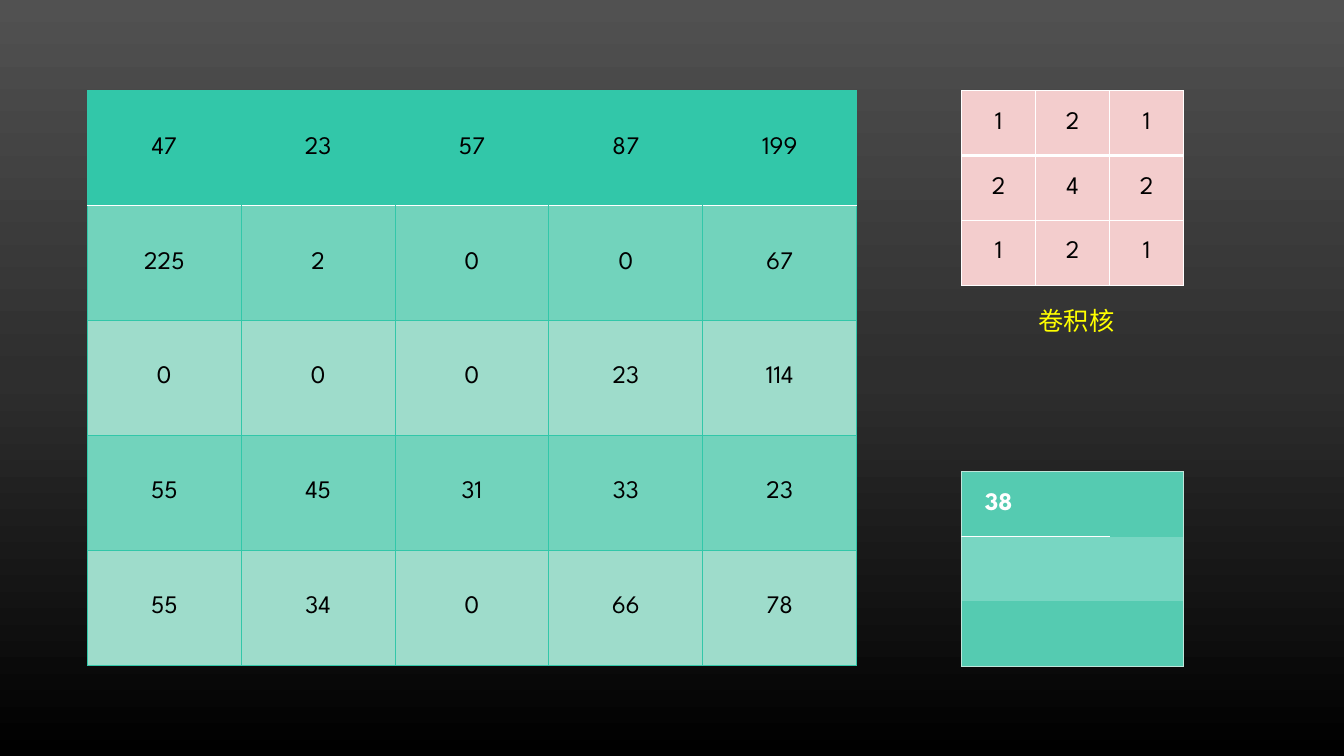
"""Build a slide showing a pixel matrix, a convolution kernel and its result."""
from copy import deepcopy
from dataclasses import dataclass
from typing import Optional

from lxml.etree import SubElement
from pptx import Presentation
from pptx.dml.color import RGBColor
from pptx.enum.text import MSO_ANCHOR, PP_ALIGN
from pptx.oxml.ns import qn
from pptx.util import Emu, Inches, Pt

FONT = "League Spartan"
COLUMNS, ROWS = 100, 75
COLORS = {
    "bg_top": "515151", "bg_middle": "2E2E2E", "bg_bottom": "000000",
    "teal": "32C7A9", "teal_mid": "72D3BC", "teal_light": "9EDCCB",
    "result_dark": "55CBB1", "result_light": "78D6C2", "result_edge": "BFE5DA",
    "pink": "F3CDCD", "white": "FFFFFF", "black": "000000", "yellow": "FFFF00",
}


@dataclass
class Line:
    color: str
    width: float


@dataclass
class Matrix:
    left: float
    top: float
    width: float
    height: float
    values: list[list[str]]
    row_fills: list[str]
    outer: Line
    inner: Optional[Line]
    header_inner: Optional[Line]
    header_rule: Line
    rule_columns: int
    text_color: str = "black"
    bold: bool = False


WHITE_LINE = Line("white", 1)
TEAL_LINE = Line("teal", 0.75)
SIDE_LEFT, SIDE_WIDTH, SIDE_HEIGHT = 71.55, 16.52, 19.3

MATRICES = [
    Matrix(6.5, 9, 57.25, 57,
           [["47", "23", "57", "87", "199"],
            ["225", "2", "0", "0", "67"],
            ["0", "0", "0", "23", "114"],
            ["55", "45", "31", "33", "23"],
            ["55", "34", "0", "66", "78"]],
           ["teal", "teal_mid", "teal_light", "teal_mid", "teal_light"],
           TEAL_LINE, TEAL_LINE, None, WHITE_LINE, 5),
    Matrix(SIDE_LEFT, 46.8, SIDE_WIDTH, SIDE_HEIGHT,
           [["38", "", ""], ["", "", ""], ["", "", ""]],
           ["result_dark", "result_light", "result_dark"],
           Line("result_edge", 0.75), None, None, Line("white", 1.5), 2,
           "white", True),
    Matrix(SIDE_LEFT, 9, SIDE_WIDTH, SIDE_HEIGHT,
           [["1", "2", "1"], ["2", "4", "2"], ["1", "2", "1"]],
           ["pink"] * 3,
           WHITE_LINE, WHITE_LINE, WHITE_LINE, Line("white", 3), 3),
]


def rgb(name: str) -> RGBColor:
    return RGBColor.from_string(COLORS[name])


def format_text(p, color: str, bold: bool = False) -> None:
    p.alignment = PP_ALIGN.CENTER
    p.font.name = FONT
    p.font.size = Pt(18)
    p.font.bold = bold
    p.font.color.rgb = rgb(color)


def cell_lines(m: Matrix, row: int, col: int) -> dict[str, Optional[Line]]:
    def horizontal(edge: int) -> Optional[Line]:
        if edge in (0, len(m.values)):
            return m.outer
        if edge == 1:
            return m.header_rule if col < m.rule_columns else None
        return m.inner

    def vertical(edge: int) -> Optional[Line]:
        if edge in (0, len(m.values[0])):
            return m.outer
        return m.inner if row else m.header_inner

    return {"a:lnL": vertical(col), "a:lnR": vertical(col + 1),
            "a:lnT": horizontal(row), "a:lnB": horizontal(row + 1)}


def set_borders(cell, lines: dict[str, Optional[Line]]) -> None:
    tc_pr = cell._tc.get_or_add_tcPr()
    for tag, line in lines.items():
        ln = SubElement(tc_pr, qn(tag), w=str(Pt(line.width) if line else 0))
        if line:
            fill = SubElement(ln, qn("a:solidFill"))
            SubElement(fill, qn("a:srgbClr"), val=COLORS[line.color])
        else:
            SubElement(ln, qn("a:noFill"))


def add_matrix(slide, m: Matrix, unit_x: float, unit_y: float) -> None:
    n_rows, n_cols = len(m.values), len(m.values[0])
    table = slide.shapes.add_table(
        n_rows, n_cols, Emu(int(m.left * unit_x)), Emu(int(m.top * unit_y)),
        Emu(int(m.width * unit_x)), Emu(int(m.height * unit_y))).table
    table.first_row = table.horz_banding = False
    for row, values in enumerate(m.values):
        for col, value in enumerate(values):
            cell = table.cell(row, col)
            set_borders(cell, cell_lines(m, row, col))
            cell.fill.solid()
            cell.fill.fore_color.rgb = rgb(m.row_fills[row])
            cell.vertical_anchor = MSO_ANCHOR.MIDDLE
            if value:
                p = cell.text_frame.paragraphs[0]
                p.text = value
                format_text(p, m.text_color, m.bold)


def set_background(slide) -> None:
    fill = slide.background.fill
    fill.gradient()
    fill.gradient_angle = 270
    first = fill.gradient_stops[0]._gs
    first.addnext(deepcopy(first))
    names = ("bg_top", "bg_middle", "bg_bottom")
    for stop, name, position in zip(fill.gradient_stops, names, (0, 0.5, 1)):
        stop.color.rgb = rgb(name)
        stop.position = position


def add_caption(slide, text: str, unit_x: float, unit_y: float) -> None:
    sp = slide.shapes.add_textbox(
        Emu(int(76.5 * unit_x)), Emu(int(29.8 * unit_y)),
        Emu(int(7.2 * unit_x)), Emu(int(4 * unit_y)))
    tf = sp.text_frame
    tf.word_wrap = False
    p = tf.paragraphs[0]
    p.text = text
    format_text(p, "yellow")


def main() -> None:
    prs = Presentation()
    prs.slide_width, prs.slide_height = Inches(13.33), Inches(7.5)
    unit_x, unit_y = prs.slide_width / COLUMNS, prs.slide_height / ROWS
    s = prs.slides.add_slide(prs.slide_layouts[6])
    set_background(s)
    for m in MATRICES:
        add_matrix(s, m, unit_x, unit_y)
    add_caption(s, "卷积核", unit_x, unit_y)
    prs.save("out.pptx")


if __name__ == "__main__":
    main()
